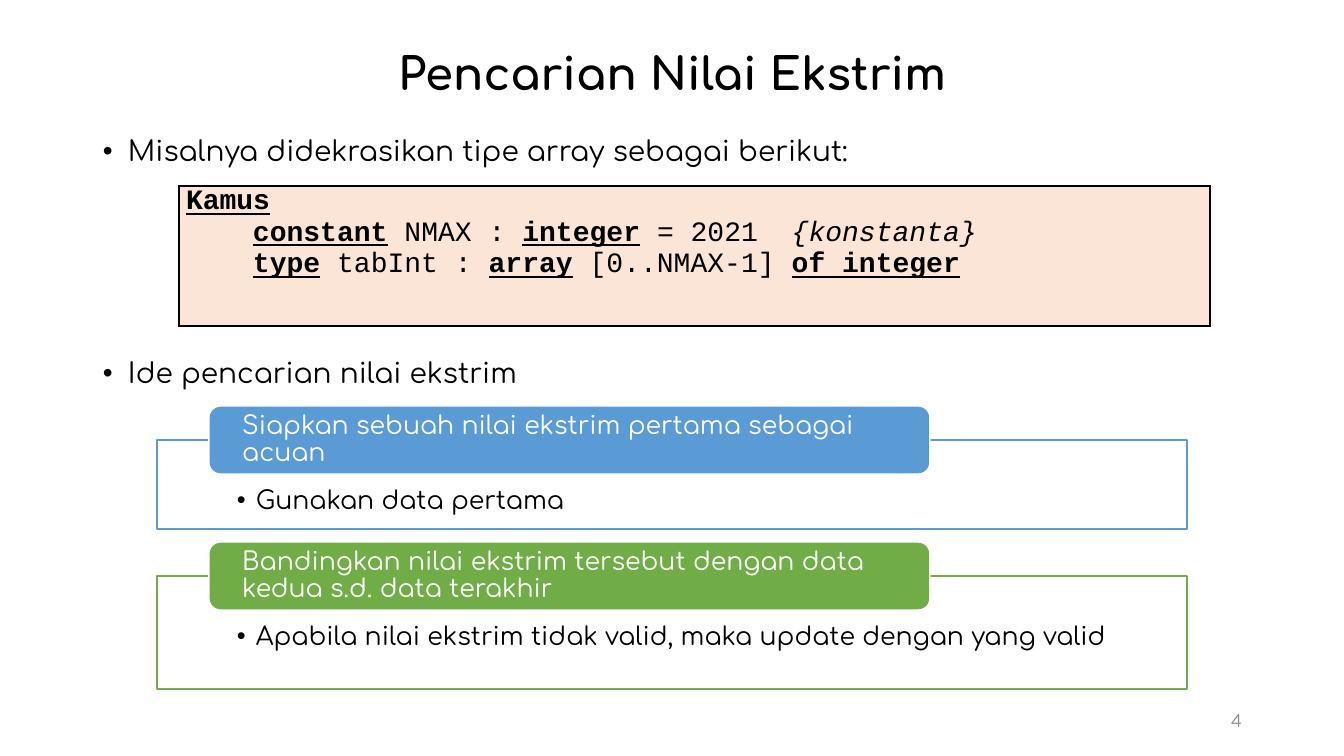
"""Build the slide on searching for extreme values in an array."""
from dataclasses import dataclass

from lxml import etree
from pptx import Presentation
from pptx import util as u
from pptx.dml.color import RGBColor
from pptx.enum import shapes, text
from pptx.oxml import ns

SCALE = 914400 / 100.8
BODY_FONT, CODE_FONT = "Comfortaa", "Courier New"
BLACK, WHITE, GREY, PEACH = "000000", "FFFFFF", "8C8C8C", "FBE5D6"
KEYWORD = {"bold": True, "underline": True}
PLAIN = {}


@dataclass(frozen=True)
class Step:
    """A coloured heading on top of an outlined panel."""
    heading: str
    detail: str
    color: str
    top: int
    panel_height: int


@dataclass(frozen=True)
class CodeLine:
    """A line of code with its indent and its styled pieces."""
    indent: int
    pieces: tuple


STEPS = (
    Step("Siapkan sebuah nilai ekstrim pertama sebagai acuan",
         "Gunakan data pertama", "5B9BD5", 406, 89),
    Step("Bandingkan nilai ekstrim tersebut dengan data kedua s.d. data terakhir",
         "Apabila nilai ekstrim tidak valid, maka update dengan yang valid",
         "70AD47", 542, 113),
)
CODE = (
    CodeLine(0, (("Kamus", KEYWORD),)),
    CodeLine(67, (("constant", KEYWORD), (" NMAX : ", PLAIN), ("integer", KEYWORD),
                  (" = 2021  ", PLAIN), ("{konstanta}", {"italic": True}))),
    CodeLine(67, (("type", KEYWORD), (" tabInt : ", PLAIN), ("array", KEYWORD),
                  (" [0..NMAX-1] ", PLAIN), ("of integer", KEYWORD))),
)


def px(pixels: float) -> int:
    """Turn pixels into EMU."""
    return u.Emu(round(pixels * SCALE))


def rgb(color: str) -> RGBColor:
    """Turn a hex string into a colour."""
    return RGBColor.from_string(color)


def place(shape, left: int, top: int, width: int, height: int) -> None:
    """Move and size a shape."""
    shape.left, shape.top = px(left), px(top)
    shape.width, shape.height = px(width), px(height)


def set_frame(frame, anchor, margins: tuple = (10, 5, 10, 5)) -> None:
    """Set wrapping, anchor and margins of a text frame."""
    frame.word_wrap = True
    frame.auto_size = text.MSO_AUTO_SIZE.NONE
    frame.vertical_anchor = anchor
    (frame.margin_left, frame.margin_top,
     frame.margin_right, frame.margin_bottom) = map(px, margins)


def write(paragraph, words: str, *, size: int, color: str = BLACK, font: str = BODY_FONT,
          bold: bool = False, italic: bool = False, underline: bool = False,
          align=text.PP_ALIGN.LEFT, spacing: float = 0.9, before: int = 0,
          indent: int = 0, bullet: bool = False) -> None:
    """Add formatted text to a paragraph."""
    paragraph.alignment = align
    paragraph.line_spacing = spacing
    paragraph.space_before = u.Pt(before)
    properties = paragraph._p.get_or_add_pPr()
    properties.set("marL", str(px(indent)))
    properties.set("indent", str(-px(indent) if bullet else 0))
    if bullet:
        etree.SubElement(properties, ns.qn("a:buFont"), typeface="Arial")
        etree.SubElement(properties, ns.qn("a:buChar"), char="•")
    run = paragraph.add_run()
    run.text = words
    run.font.name, run.font.size = font, u.Pt(size)
    run.font.bold, run.font.italic, run.font.underline = bold, italic, underline
    run.font.color.rgb = rgb(color)


def add_box(slide, kind, box: tuple, fill: str, line: str):
    """Add a filled and outlined preset shape."""
    shape = slide.shapes.add_shape(kind, *map(px, box))
    shape.shadow.inherit = False
    shape.fill.solid()
    shape.fill.fore_color.rgb = rgb(fill)
    shape.line.color.rgb = rgb(line)
    shape.line.width = u.Pt(1)
    return shape


def add_step(slide, step: Step) -> None:
    """Draw the panel of a step and its heading."""
    panel = add_box(slide, shapes.MSO_SHAPE.RECTANGLE,
                    (157, step.top + 34, 1030, step.panel_height), WHITE, step.color)
    set_frame(panel.text_frame, text.MSO_ANCHOR.TOP, (80, 48, 80, 14))
    write(panel.text_frame.paragraphs[0], step.detail, size=18, indent=19, bullet=True)
    heading = add_box(slide, shapes.MSO_SHAPE.ROUNDED_RECTANGLE,
                      (209, step.top, 721, 68), step.color, WHITE)
    set_frame(heading.text_frame, text.MSO_ANCHOR.MIDDLE, (30, 0, 30, 0))
    write(heading.text_frame.paragraphs[0], step.heading, size=18, color=WHITE)


def add_border(cell) -> None:
    """Draw a thin black line on each side of a table cell."""
    properties = cell._tc.get_or_add_tcPr()
    for index, side in enumerate(("lnL", "lnR", "lnT", "lnB")):
        line = etree.Element(ns.qn(f"a:{side}"), w=str(u.Pt(1)))
        fill = etree.SubElement(line, ns.qn("a:solidFill"))
        etree.SubElement(fill, ns.qn("a:srgbClr"), val=BLACK)
        properties.insert(index, line)


def add_code(slide) -> None:
    """Draw the declaration as a table with one cell."""
    table = slide.shapes.add_table(1, 1, *map(px, (179, 186, 1031, 140))).table
    table.first_row = table.horz_banding = False
    cell = table.cell(0, 0)
    cell.fill.solid()
    cell.fill.fore_color.rgb = rgb(PEACH)
    add_border(cell)
    cell.vertical_anchor = text.MSO_ANCHOR.TOP
    cell.margin_left = cell.margin_right = px(7)
    cell.margin_top = cell.margin_bottom = 0
    frame = cell.text_frame
    for index, line in enumerate(CODE):
        paragraph = frame.add_paragraph() if index else frame.paragraphs[0]
        for words, style in line.pieces:
            write(paragraph, words, size=20, font=CODE_FONT, spacing=1.0,
                  indent=line.indent, **style)


def main() -> None:
    """Build and save the presentation."""
    presentation = Presentation()
    presentation.slide_width, presentation.slide_height = px(1344), px(756)
    slide = presentation.slides.add_slide(presentation.slide_layouts[1])
    title, body = slide.placeholders
    place(title, 93, 40, 1159, 71)
    set_frame(title.text_frame, text.MSO_ANCHOR.MIDDLE)
    write(title.text_frame.paragraphs[0], "Pencarian Nilai Ekstrim", size=32,
          bold=True, align=text.PP_ALIGN.CENTER)
    place(body, 93, 132, 1159, 548)
    set_frame(body.text_frame, text.MSO_ANCHOR.TOP)
    write(body.text_frame.paragraphs[0], "Misalnya didekrasikan tipe array sebagai berikut:",
          size=20, before=10, indent=25, bullet=True)
    write(body.text_frame.add_paragraph(), "Ide pencarian nilai ekstrim",
          size=20, before=137, indent=25, bullet=True)
    number = slide.shapes.add_textbox(*map(px, (950, 701, 302, 40)))
    set_frame(number.text_frame, text.MSO_ANCHOR.MIDDLE)
    write(number.text_frame.paragraphs[0], "4", size=12, color=GREY,
          align=text.PP_ALIGN.RIGHT, spacing=1.0)
    for step in STEPS:
        add_step(slide, step)
    add_code(slide)
    presentation.save("out.pptx")


main()
